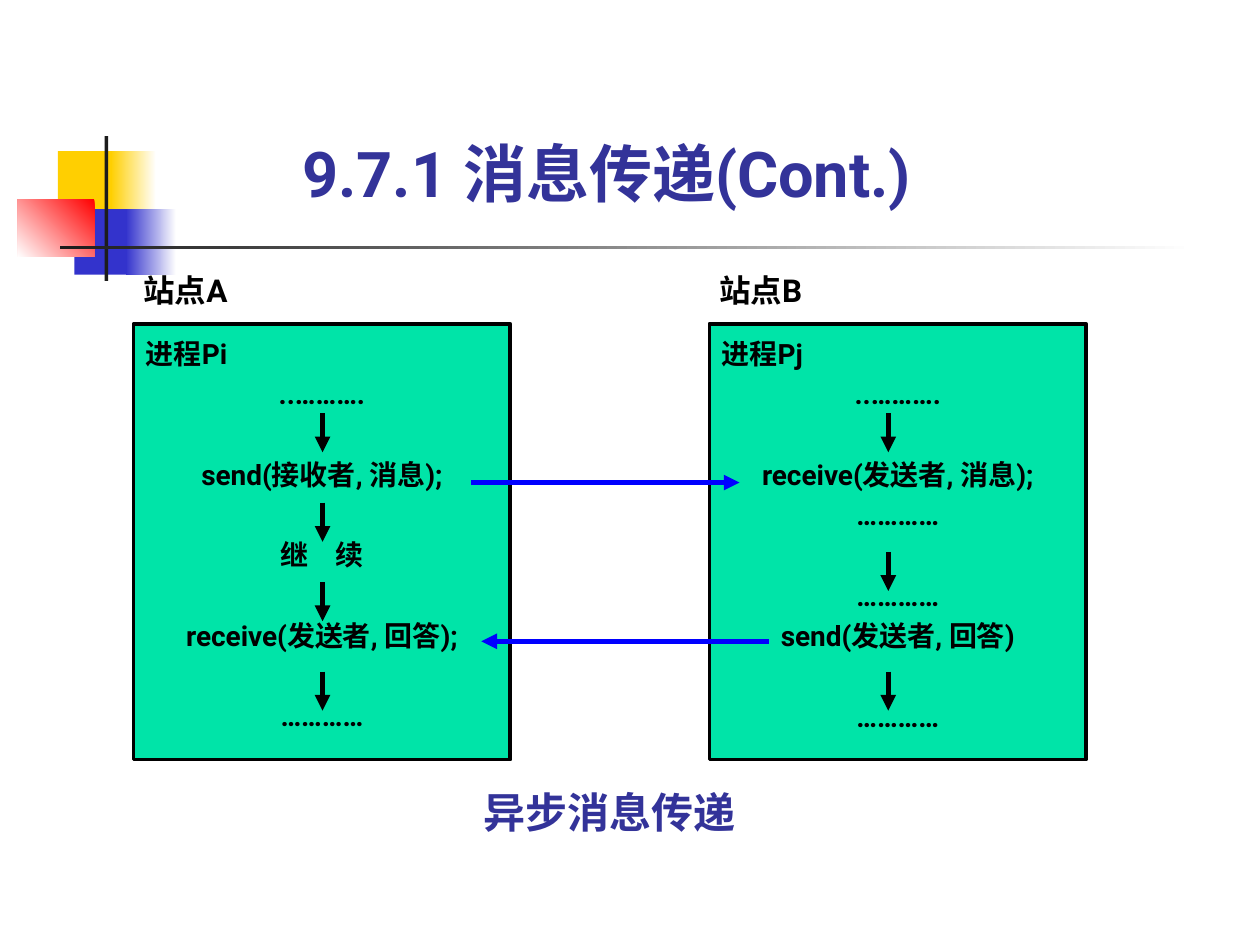
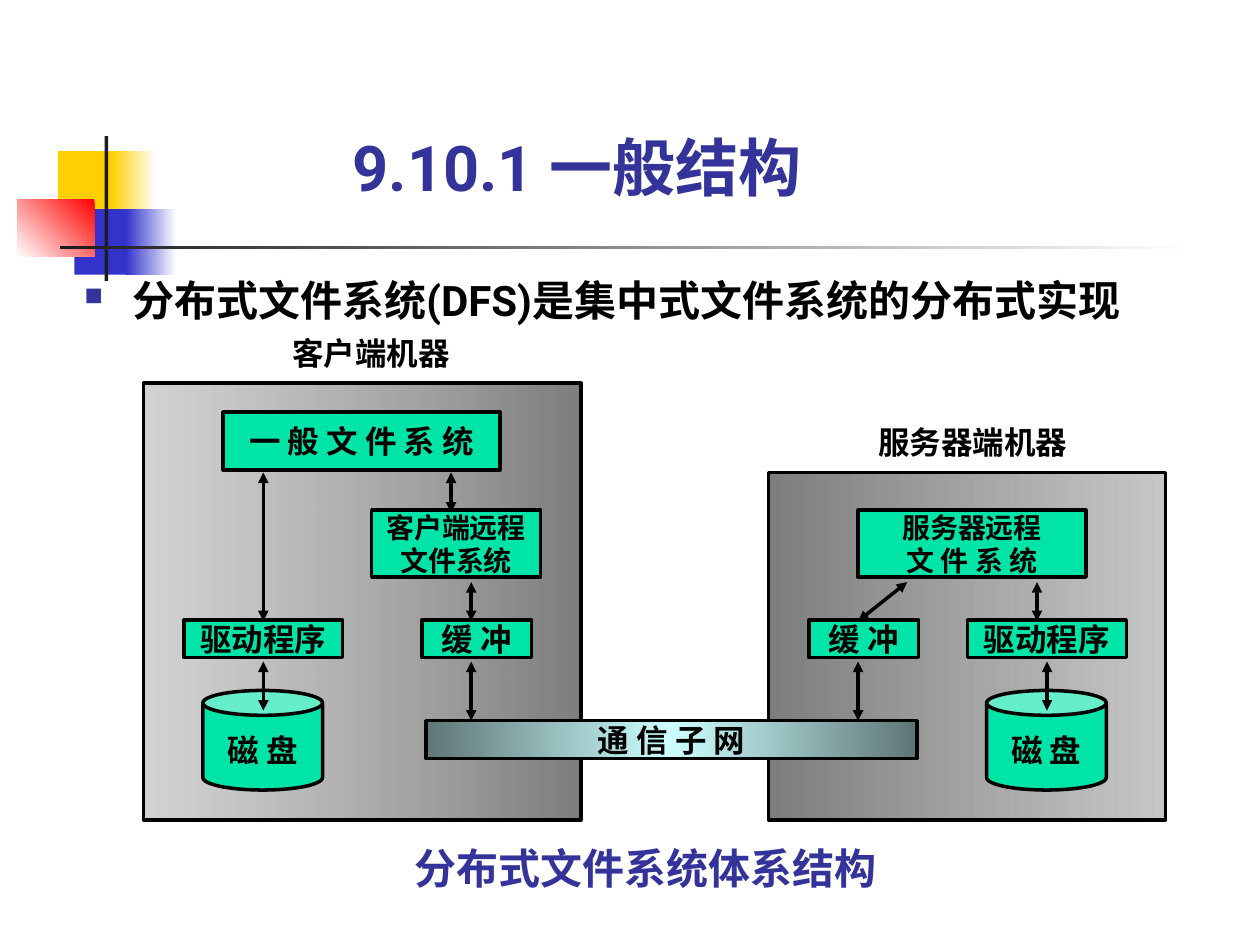
import pptx
import pptx.util
import pptx.dml.color
import pptx.enum.shapes
import pptx.enum.text
import pptx.oxml.ns
from lxml import etree

Inches, Pt = pptx.util.Inches, pptx.util.Pt
qn = pptx.oxml.ns.qn
SHAPE = pptx.enum.shapes.MSO_SHAPE
ALIGN = pptx.enum.text.PP_ALIGN
ANCHOR = pptx.enum.text.MSO_ANCHOR

FONT = "Roboto"
INDIGO, BLACK, WHITE = "333399", "000000", "FFFFFF"
GREEN, ARROW_BLUE = "00E4A8", "0000FF"
YELLOW, BLUE, RED, CHARCOAL = "FFCF01", "3333CC", "FF0000", "1C1C1C"
PADDED = (0.1, 0.05, 0.1, 0.05)

# A fill is a hex string, or (angle, [(position, colour, opacity), ...]).


def fade(*stops, angle=180):
    return angle, stops


# Slide decoration: box, fill
DECORATION = [
    ((0.46, 1.2, 0.48, 0.52), YELLOW),
    ((0.88, 1.2, 0.36, 0.52), fade((0, WHITE, 100), (100, YELLOW, 100))),
    ((0.59, 1.66, 0.46, 0.52), BLUE),
    ((1, 1.66, 0.4, 0.52), fade((0, WHITE, 100), (100, BLUE, 100))),
    ((0.14, 1.58, 0.61, 0.46), fade((0, RED, 100), (100, WHITE, 100), angle=135)),
    ((0.83, 1.08, 0.03, 1.15), CHARCOAL),
    ((0.48, 1.95, 9, 0.03), fade((0, WHITE, 100), (100, CHARCOAL, 100))),
]

# Message passing: each step is (skipped lines before it, text)
SITES = [
    dict(left=1.06, name="站点A", arrow_x=2.56, arrow_tops=[3.28, 3.99, 4.62, 5.33],
         steps=[(0, "进程Pi"), (0, "..………."), (1, "send(接收者, 消息);"),
                (1, "继　续"), (1, "receive(发送者, 回答);"), (1, "…………")]),
    dict(left=5.63, name="站点B", arrow_x=7.05, arrow_tops=[3.28, 4.38, 5.33],
         steps=[(0, "进程Pj"), (0, "..………."), (1, "receive(发送者, 消息);"),
                (0, "…………"), (1, "…………"), (0, "send(发送者, 回答)"),
                (1, "…………")]),
]
MESSAGES = [((3.74, 3.83), (5.87, 3.83)), ((6.1, 5.09), (3.82, 5.09))]
STEP_PITCH = 23
FLOW_LENGTH = 0.31

# File system structure
MACHINES = [
    ((6.1, 3.75, 3.15, 2.76), fade((0, "C0C0C0", 90), (100, "7E7E7E", 100))),
    ((1.14, 3.04, 3.47, 3.47), fade((0, "7E7E7E", 100), (100, "C0C0C0", 70))),
]
MACHINE_LABELS = [((2.32, 2.65, 1.58, 0.3), "客户端机器"),
                  ((6.97, 3.36, 1.58, 0.3), "服务器端机器")]
REMOTE_SYSTEMS = [((2.95, 4.05, 1.34, 0.53), ["客户端远程", "文件系统"]),
                  ((6.81, 4.05, 1.81, 0.53), ["服务器远程", "文 件 系 统"])]
BUFFER_LEFTS = [3.35, 6.42]
DRIVER_LEFTS = [1.46, 7.68]
SUBNET_FILL = fade((0, "5E7575", 100), (50, "CCFFFF", 100), (100, "5E7575", 100))
LINKS = [
    ((2.09, 3.75), (2.09, 4.93)), ((2.09, 5.25), (2.09, 5.64)),
    ((3.58, 3.75), (3.58, 4.07)), ((3.74, 4.62), (3.74, 4.93)),
    ((3.74, 5.25), (3.74, 5.72)), ((6.81, 5.25), (6.81, 5.72)),
    ((7.2, 4.62), (6.81, 4.93)), ((8.23, 4.62), (8.23, 4.93)),
    ((8.31, 5.25), (8.31, 5.64)),
]


def rgb(hex_colour):
    return pptx.dml.color.RGBColor.from_string(hex_colour)


def set_fill(s, fill):
    if isinstance(fill, str):
        s.fill.solid()
        s.fill.fore_color.rgb = rgb(fill)
        return
    angle, stops = fill
    s.fill.gradient()
    s.fill.gradient_angle = 360 - angle
    stop_list = s._element.spPr.find(qn("a:gradFill")).find(qn("a:gsLst"))
    for old_stop in list(stop_list):
        stop_list.remove(old_stop)
    for position, colour, opacity in stops:
        stop = etree.SubElement(stop_list, qn("a:gs"), pos=str(position * 1000))
        clr = etree.SubElement(stop, qn("a:srgbClr"), val=colour)
        if opacity < 100:
            etree.SubElement(clr, qn("a:alpha"), val=str(opacity * 1000))


def add_box(slide, box, fill, outlined=True, kind=SHAPE.RECTANGLE):
    s = slide.shapes.add_shape(kind, *map(Inches, box))
    s.shadow.inherit = False
    set_fill(s, fill)
    if outlined:
        s.line.color.rgb = rgb(BLACK)
        s.line.width = Pt(2)
    else:
        s.line.fill.background()
    return s


def write(s, lines, size, colour=BLACK, align=ALIGN.LEFT, insets=(0, 0, 0, 0),
          anchor=ANCHOR.TOP, wrap=True):
    tf = s.text_frame
    tf.word_wrap = wrap
    tf.vertical_anchor = anchor
    tf.margin_left, tf.margin_top, tf.margin_right, tf.margin_bottom = map(Inches, insets)
    tf.text = "\n".join(lines)
    for p in tf.paragraphs:
        p.alignment = align
        for r in p.runs:
            r.font.name = FONT
            r.font.size = Pt(size)
            r.font.bold = True
            r.font.color.rgb = rgb(colour)
    return tf


def add_text(slide, box, text, size, **style):
    s = slide.shapes.add_textbox(*map(Inches, box))
    return write(s, [text], size, **style)


def add_green_box(slide, box, lines, size=18, insets=(0, 0, 0, 0)):
    write(add_box(slide, box, GREEN), lines, size, align=ALIGN.CENTER, insets=insets)


def add_arrow(slide, start, end, colour=BLACK, width=3, both_ends=False):
    s = slide.shapes.add_connector(pptx.enum.shapes.MSO_CONNECTOR.STRAIGHT,
                                   *map(Inches, start + end))
    s.line.color.rgb = rgb(colour)
    s.line.width = Pt(width)
    ln = s.line._get_or_add_ln()
    for tag in ["a:headEnd", "a:tailEnd"] if both_ends else ["a:tailEnd"]:
        etree.SubElement(ln, qn(tag), type="triangle")
    etree.SubElement(s._element.spPr, qn("a:effectLst"))


def add_bullet(p):
    pPr = p._p.get_or_add_pPr()
    pPr.set("marL", str(Inches(0.38)))
    pPr.set("indent", str(-Inches(0.38)))
    clr = etree.SubElement(pPr, qn("a:buClr"))
    etree.SubElement(clr, qn("a:srgbClr"), val=INDIGO)
    etree.SubElement(pPr, qn("a:buSzPct"), val="60000")
    etree.SubElement(pPr, qn("a:buChar"), char="■")


def new_slide(prs, title, title_box, caption, caption_box):
    slide = prs.slides.add_slide(prs.slide_layouts[6])
    for box, fill in DECORATION:
        add_box(slide, box, fill, outlined=False)
    add_text(slide, title_box, title, 36, colour=INDIGO, anchor=ANCHOR.BOTTOM)
    add_text(slide, caption_box, caption, 24, colour=INDIGO, insets=PADDED)
    return slide


def build_message_passing(prs):
    slide = new_slide(prs, "9.7.1 消息传递(Cont.)", (2.4, 1.07, 5.43, 0.6),
                      "异步消息传递", (3.74, 6.19, 2.21, 0.5))
    for site in SITES:
        left = site["left"]
        s = add_box(slide, (left, 2.57, 2.99, 3.46), GREEN)
        tf = write(s, [text for _, text in site["steps"]], 16, align=ALIGN.CENTER,
                   insets=(0.1, 0.05, 0.1, 0.21))
        tf.paragraphs[0].alignment = ALIGN.LEFT
        for p, (skipped, _) in zip(tf.paragraphs, site["steps"]):
            p.line_spacing = 1.2
            if skipped:
                p.space_before = Pt(skipped * STEP_PITCH)
        add_text(slide, (left - 0.02, 2.1, 0.93, 0.4), site["name"], 18,
                 insets=PADDED, wrap=False)
        x = site["arrow_x"]
        for top in site["arrow_tops"]:
            add_arrow(slide, (x, top), (x, top + FLOW_LENGTH))
    for start, end in MESSAGES:
        add_arrow(slide, start, end, colour=ARROW_BLUE)


def build_file_system(prs):
    slide = new_slide(prs, "9.10.1 一般结构", (2.8, 0.91, 3.94, 0.71),
                      "分布式文件系统体系结构", (3.19, 6.64, 4.17, 0.5))
    tf = add_text(slide, (0.67, 2.18, 8.51, 0.4),
                  "分布式文件系统(DFS)是集中式文件系统的分布式实现", 24)
    add_bullet(tf.paragraphs[0])
    for box, fill in MACHINES:
        add_box(slide, box, fill)
    for box, label in MACHINE_LABELS:
        add_text(slide, box, label, 18)
    add_green_box(slide, (1.77, 3.27, 2.2, 0.46), ["一 般 文 件 系 统"],
                  insets=(0, 0.08, 0, 0.08))
    for box, lines in REMOTE_SYSTEMS:
        add_green_box(slide, box, lines, size=16)
    for left in BUFFER_LEFTS:
        add_green_box(slide, (left, 4.92, 0.87, 0.3), ["缓 冲"])
    for left in DRIVER_LEFTS:
        add_green_box(slide, (left, 4.92, 1.26, 0.3), ["驱动程序"])
        disk = add_box(slide, (left + 0.15, 5.48, 0.95, 0.79), GREEN, kind=SHAPE.CAN)
        disk.adjustments[0] = 0.25
        add_text(slide, (left + 0.19, 5.8, 0.87, 0.3), "磁 盘", 18, align=ALIGN.CENTER)
    subnet = add_box(slide, (3.38, 5.72, 3.9, 0.3), SUBNET_FILL)
    write(subnet, ["通 信 子 网"], 18, align=ALIGN.CENTER)
    for start, end in LINKS:
        add_arrow(slide, start, end, width=2, both_ends=True)


def main():
    prs = pptx.Presentation()
    prs.slide_width, prs.slide_height = Inches(10), Inches(7.5)
    build_message_passing(prs)
    build_file_system(prs)
    prs.save("out.pptx")


if __name__ == "__main__":
    main()
